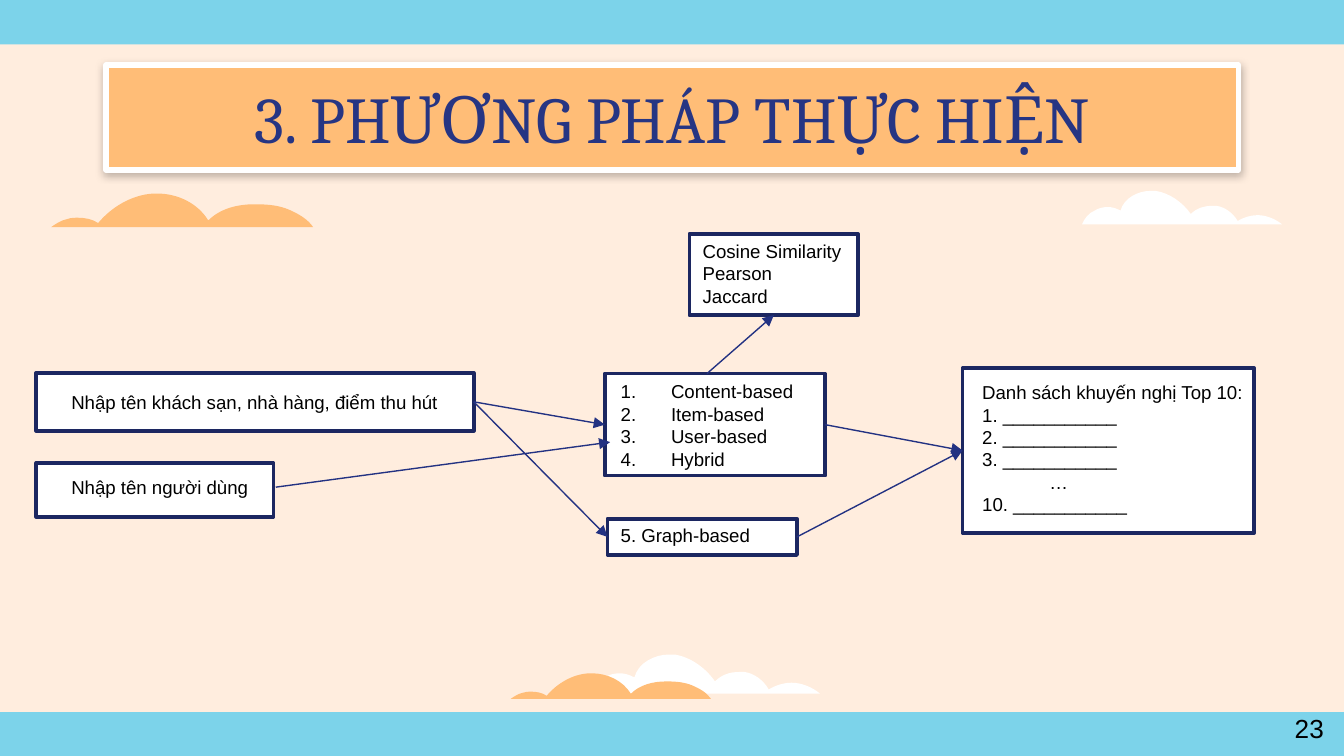
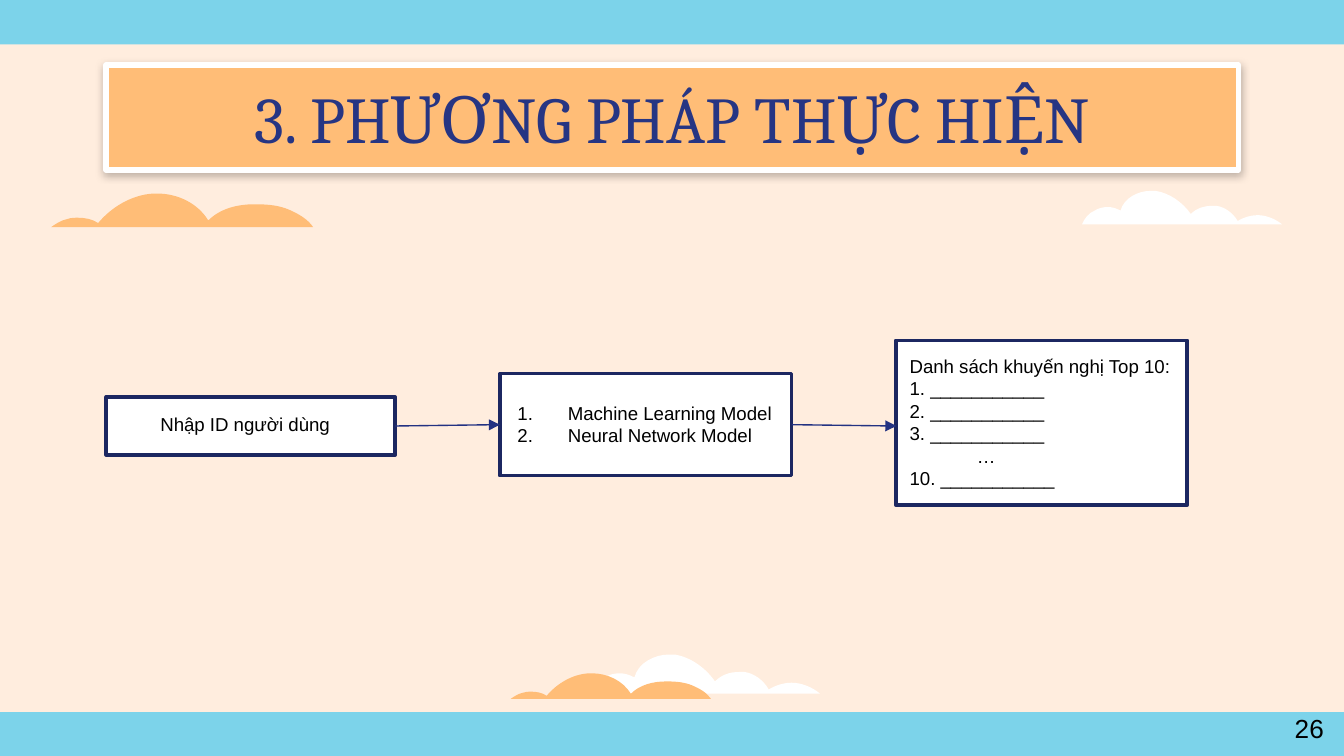
"""Build two slides on how the recommendation system is carried out."""
import lxml.etree
import pptx
import pptx.dml.color
import pptx.enum.shapes
import pptx.enum.text
import pptx.oxml.ns
import pptx.util

RGB = pptx.dml.color.RGBColor
SHAPE = pptx.enum.shapes.MSO_SHAPE
ALIGN = pptx.enum.text.PP_ALIGN
qn = pptx.oxml.ns.qn

PEACH = RGB(0xFF, 0xED, 0xDE)
SKY = RGB(0x7C, 0xD3, 0xEA)
ORANGE = RGB(0xFF, 0xBD, 0x77)
WHITE = RGB(0xFF, 0xFF, 0xFF)
BLACK = RGB(0, 0, 0)
NAVY = RGB(0x1C, 0x27, 0x61)
ARROW = RGB(0x23, 0x32, 0x82)
TITLE = RGB(0x26, 0x35, 0x83)

COLS, ROWS = 100, 56.25
TOP, LEFT, BOTTOM, RIGHT = range(4)

PUFFY = (171, 29, (59, 0), [
    (48, 0, 36, 6, 33, 17), (29, 15, 26, 14, 22, 14),
    (18, 14, 14, 15, 11, 17), (6, 19, 2, 24, 0, 29), (171, 29),
    (165, 24, 157, 21, 150, 21), (144, 21, 138, 23, 133, 26),
    (129, 19, 122, 14, 115, 13), (113, 13, 112, 13, 111, 13),
    (104, 13, 98, 15, 93, 20), (86, 10, 75, 2, 63, 0),
    (62, 0, 60, 0, 59, 0)])
FLAT = (195, 25, (79, 0), [
    (78, 0, 77, 0, 76, 0), (60, 1, 45, 10, 35, 22),
    (31, 19, 25, 18, 20, 18), (17, 18, 15, 18, 12, 19),
    (7, 20, 3, 23, 0, 25), (195, 25),
    (191, 19, 184, 15, 177, 12), (170, 9, 162, 8, 153, 8),
    (152, 8, 152, 8, 151, 8), (139, 8, 126, 11, 117, 20),
    (109, 7, 94, 0, 79, 0)])


def add(parent, tag, **attrs):
    return lxml.etree.SubElement(parent, qn(tag), attrs)


class Deck:
    """Holds the style and the current slide."""

    def __init__(self):
        self.prs = pptx.Presentation()
        self.prs.slide_width = pptx.util.Inches(10)
        self.prs.slide_height = pptx.util.Inches(5.625)
        self.layout = self.prs.slide_layouts[6]
        self.s = None

    def x(self, cols):
        return round(self.prs.slide_width * cols / COLS)

    def y(self, rows):
        return round(self.prs.slide_height * rows / ROWS)

    def place(self, x, y, w, h):
        return self.x(x), self.y(y), self.x(w), self.y(h)

    def slide(self, title, number):
        first = self.s is None
        self.s = self.prs.slides.add_slide(self.layout)
        fill = self.s.background.fill
        fill.solid()
        fill.fore_color.rgb = PEACH
        if first:
            self.frame()
        self.cloud(80.5, 14.2, 14.9, 2.5, PUFFY, WHITE)
        self.cloud(3.8, 14.4, 19.5, 2.5, FLAT, ORANGE)
        self.title(title)
        self.label(95.35, 52.5, 4.2, 3.4, [number], size=14)

    def frame(self):
        for sp in (self.box(-0.1, -0.1, 100.2, 3.4, SKY, None),
                   self.box(-0.1, 53, 100.2, 3.4, SKY, None),
                   self.cloud(43.9, 48.7, 17.1, 2.9, PUFFY, WHITE),
                   self.cloud(38, 50.1, 14.9, 1.9, FLAT, ORANGE)):
            self.layout.shapes._spTree.append(sp._element)

    def box(self, x, y, w, h, color=WHITE, border=NAVY, weight=2):
        sp = self.s.shapes.add_shape(SHAPE.RECTANGLE, *self.place(x, y, w, h))
        sp.shadow.inherit = False
        sp.fill.solid()
        sp.fill.fore_color.rgb = color
        if border is None:
            sp.line.fill.background()
        else:
            sp.line.color.rgb = border
            sp.line.width = pptx.util.Pt(weight)
            add(sp._element.spPr.find(qn("a:ln")), "a:round")
        return sp

    def cloud(self, x, y, w, h, outline, color):
        width, height, start, steps = outline

        def points(step):
            return [(self.x(x + px * w / width), self.y(y + py * h / height))
                    for px, py in zip(step[::2], step[1::2])]

        fb = self.s.shapes.build_freeform(*points(start)[0])
        fb.add_line_segments([points(step)[-1] for step in steps], close=True)
        sp = fb.convert_to_shape()
        sp.shadow.inherit = False
        sp.fill.solid()
        sp.fill.fore_color.rgb = color
        sp.line.fill.background()
        segments = list(sp._element.iter(qn("a:lnTo")))
        for segment, step in zip(segments, steps):
            if len(step) == 6:
                curve = lxml.etree.Element(qn("a:cubicBezTo"))
                for px, py in points(step):
                    add(curve, "a:pt", x=str(px - sp.left), y=str(py - sp.top))
                segment.getparent().replace(segment, curve)
        return sp

    def title(self, text):
        sp = self.box(7.9, 4.85, 84.25, 7.8, ORANGE, WHITE, 3)
        shadow = add(sp._element.spPr.find(qn("a:effectLst")), "a:outerShdw",
                     blurRad=str(pptx.util.Pt(4.5)), dist=str(pptx.util.Pt(1.5)),
                     dir="5400000", algn="bl", rotWithShape="0")
        add(add(shadow, "a:srgbClr", val=str(BLACK)), "a:alpha", val="25000")
        tf = sp.text_frame
        tf.margin_top = tf.margin_bottom = pptx.util.Inches(0.1)
        tf.vertical_anchor = pptx.enum.text.MSO_ANCHOR.MIDDLE
        p = tf.paragraphs[0]
        p.text = text
        p.alignment = ALIGN.CENTER
        self.font(p, "Cambria", 35, TITLE)

    def font(self, p, name, size, color):
        p.font.name = name
        p.font.size = pptx.util.Pt(size)
        p.font.color.rgb = color

    def label(self, x, y, w, h, lines, numbered=False, size=10):
        sp = self.s.shapes.add_textbox(*self.place(x, y, w, h))
        tf = sp.text_frame
        tf.word_wrap = True
        tf.auto_size = pptx.enum.text.MSO_AUTO_SIZE.SHAPE_TO_FIT_TEXT
        for i, line in enumerate(lines):
            p = tf.paragraphs[0] if i == 0 else tf.add_paragraph()
            p.text = line
            p.alignment = ALIGN.LEFT
            pPr = p._p.get_or_add_pPr()
            if numbered:
                hang = pptx.util.Pt(27)
                pPr.set("marL", str(hang))
                pPr.set("indent", str(-hang))
                add(add(pPr, "a:buClr"), "a:srgbClr", val=str(BLACK))
                add(pPr, "a:buAutoNum", type="arabicPeriod")
            elif line == "…":
                pPr.set("marL", str(pptx.util.Inches(0.5)))
            self.font(p, "Arial", size, BLACK)
        return sp

    def top_ten(self, x, y, text_x, text_y):
        sp = self.box(x, y, 21.7, 12.25)
        blank = "_" * 11
        self.label(text_x, text_y, 21.7, 11.1, [
            "Danh sách khuyến nghị Top 10:",
            *(f"{n}. {blank}" for n in (1, 2, 3)), "…", f"10. {blank}"])
        return sp

    def arrow(self, start, end):
        c = self.s.shapes.add_connector(
            pptx.enum.shapes.MSO_CONNECTOR.STRAIGHT, 0, 0, 0, 0)
        if isinstance(start[0], (int, float)):
            c.begin_x, c.begin_y = self.x(start[0]), self.y(start[1])
        else:
            c.begin_connect(*start)
        if isinstance(end[0], (int, float)):
            c.end_x, c.end_y = self.x(end[0]), self.y(end[1])
        else:
            c.end_connect(*end)
        c.line.color.rgb = ARROW
        c.line.width = pptx.util.Pt(0.75)
        spPr = c._element.spPr
        add(spPr.find(qn("a:ln")), "a:tailEnd", type="triangle")
        add(spPr, "a:effectLst")


def similarity_slide(deck):
    deck.slide("3. PHƯƠNG PHÁP THỰC HIỆN", "23")
    graph = deck.box(45.2, 38.6, 14.1, 2.7)
    deck.box(2.7, 34.45, 17.65, 4)
    place = deck.box(2.7, 27.75, 32.55, 4.3)
    methods = deck.box(45, 27.8, 16.4, 7.6)
    measures = deck.box(51.3, 17.4, 12.55, 6.05)
    result = deck.top_ten(71.62, 27.4, 72.1, 27.85)
    deck.label(45.2, 27.8, 21.4, 7.7, [
        "Content-based", "Item-based", "User-based", "Hybrid"], numbered=True)
    deck.label(45.2, 38.5, 16.7, 2.7, ["5. Graph-based"])
    deck.label(51.3, 17.35, 22.9, 6.1, ["Cosine Similarity", "Pearson", "Jaccard"])
    user = deck.label(4.32, 34.9, 16.2, 2.7, ["Nhập tên người dùng"])
    deck.label(4.32, 28.6, 30.9, 2.7, ["Nhập tên khách sạn, nhà hàng, điểm thu hút"])
    deck.arrow((user, RIGHT), (45.4, 32.9))
    deck.arrow((place, RIGHT), (methods, LEFT))
    deck.arrow((place, RIGHT), (graph, LEFT))
    deck.arrow((52.6, 27.8), (measures, BOTTOM))
    deck.arrow((methods, RIGHT), (result, LEFT))
    deck.arrow((graph, RIGHT), (result, LEFT))


def model_slide(deck):
    deck.slide("3. PHƯƠNG PHÁP THỰC HIỆN", "26")
    user = deck.box(7.9, 29.55, 21.5, 4.3)
    models = deck.box(37.2, 27.8, 21.7, 7.6)
    deck.top_ten(66.65, 25.33, 66.7, 25.9)
    deck.label(37.52, 29.4, 21.4, 4.4, [
        "Machine Learning Model", "Neural Network Model"], numbered=True)
    deck.label(10.95, 30.2, 17.1, 2.7, ["Nhập ID người dùng"])
    deck.arrow((user, RIGHT), (models, LEFT))
    deck.arrow((models, RIGHT), (66.7, 31.7))


def main():
    deck = Deck()
    similarity_slide(deck)
    model_slide(deck)
    deck.prs.save("out.pptx")


if __name__ == "__main__":
    main()
